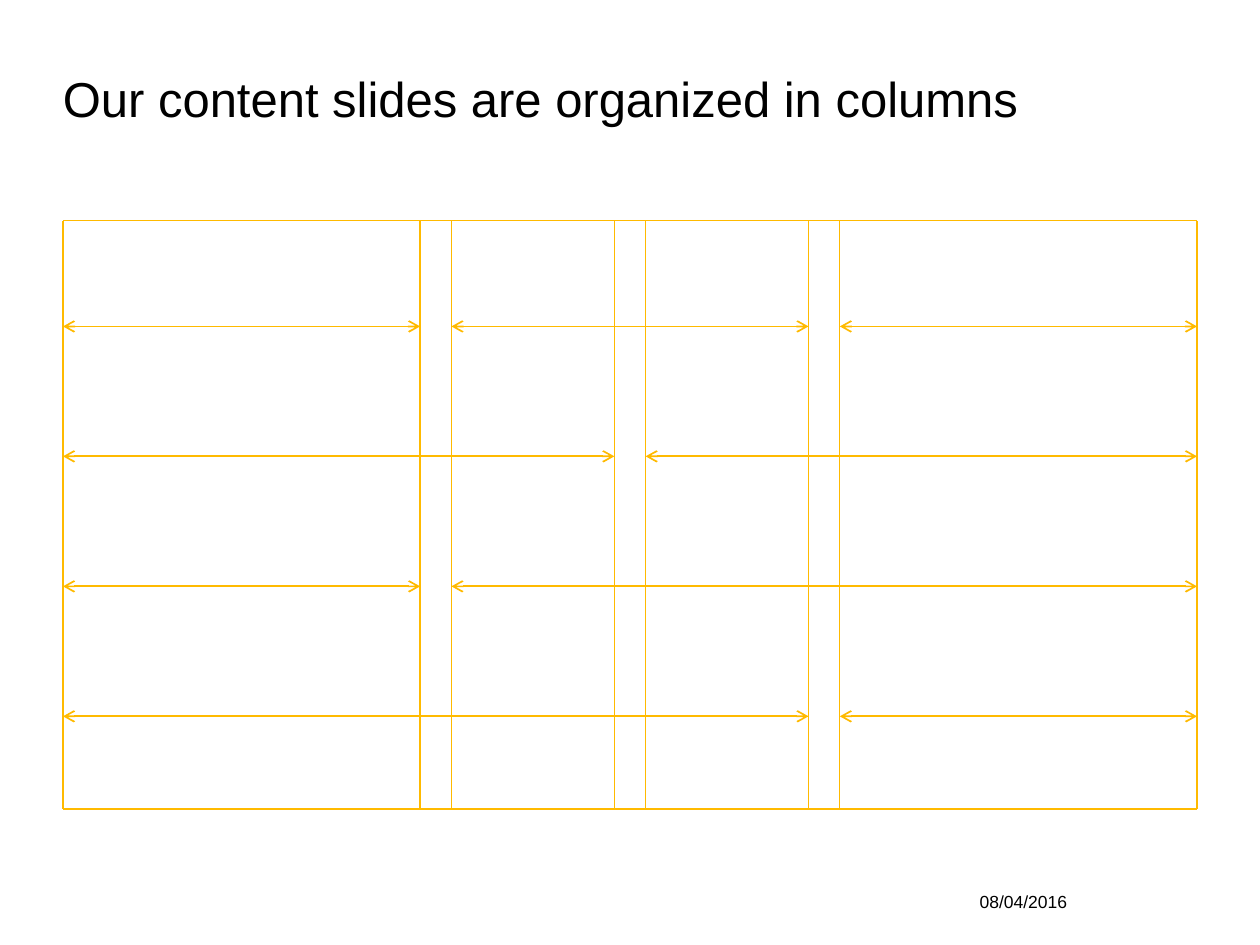
import pptx
import pptx.dml.color
import pptx.enum.shapes
import pptx.enum.text
import pptx.oxml.ns
import pptx.util
from lxml import etree

Cm, Pt = pptx.util.Cm, pptx.util.Pt
ALIGN, ANCHOR = pptx.enum.text.PP_ALIGN, pptx.enum.text.MSO_ANCHOR
COLORS = {"text": "000000", "grid": "FFBA00"}
GUTTER = 0.63
FIRST_ROW, ROW_STEP = 2.13, 2.62


def rgb(name):
    return pptx.dml.color.RGBColor.from_string(COLORS[name])


def add_text(slide, text, box, size, align=ALIGN.LEFT, anchor=ANCHOR.TOP,
             side_inset=0, wrap=True, spacing=1.0):
    tf = slide.shapes.add_textbox(*(Cm(v) for v in box)).text_frame
    tf.margin_left = tf.margin_right = Cm(side_inset)
    tf.margin_top = tf.margin_bottom = 0
    tf.word_wrap = wrap
    tf.vertical_anchor = anchor
    p = tf.paragraphs[0]
    p.alignment = align
    p.line_spacing = spacing
    r = p.add_run()
    r.text = text
    r.font.name = "Arial"
    r.font.size = Pt(size)
    r.font.color.rgb = rgb("text")


def add_line(slide, x1, y1, x2, y2, width=0.75, arrows=False):
    line = slide.shapes.add_connector(
        pptx.enum.shapes.MSO_CONNECTOR.STRAIGHT, Cm(x1), Cm(y1), Cm(x2), Cm(y2))
    line.line.color.rgb = rgb("grid")
    line.line.width = Pt(width)
    qn = pptx.oxml.ns.qn
    if arrows:
        ln = line.line._get_or_add_ln()
        for end in ("a:headEnd", "a:tailEnd"):
            etree.SubElement(ln, qn(end), type="arrow")
    etree.SubElement(line._element.spPr, qn("a:effectLst"))


def columns(left, width, count):
    """Return the (start, end) of equal columns separated by gutters."""
    col = (width - GUTTER * (count - 1)) / count
    starts = [left + i * (col + GUTTER) for i in range(count)]
    return [(start, start + col) for start in starts]


def add_column_grid(slide, left, top, width, height):
    right, bottom = left + width, top + height
    halves, thirds = columns(left, width, 2), columns(left, width, 3)

    for y in (top, bottom):
        add_line(slide, left, y, right, y)
    inner_edges = [halves[0][1], halves[1][0], thirds[0][1],
                   thirds[1][0], thirds[1][1], thirds[2][0]]
    for x in [left, right] + inner_edges:
        add_line(slide, x, top, x, bottom)

    rows = [
        thirds,
        halves,
        [thirds[0], (thirds[1][0], right)],
        [(left, thirds[1][1]), thirds[2]],
    ]
    for i, spans in enumerate(rows):
        y = top + FIRST_ROW + i * ROW_STEP
        for start, end in spans:
            add_line(slide, start, y, end, y, width=1, arrows=True)


def main():
    prs = pptx.Presentation()
    prs.slide_width, prs.slide_height = Cm(25.4), Cm(19.05)
    slide = prs.slides.add_slide(prs.slide_layouts[6])
    add_text(slide, "Our content slides are organized in columns",
             (1.27, 1.27, 22.86, 2.54), 28, spacing=1.1)
    add_column_grid(slide, 1.27, 4.45, 22.86, 11.86)
    add_text(slide, "08/04/2016", (17.98, 17.96, 3.78, 0.43), 10,
             align=ALIGN.RIGHT, anchor=ANCHOR.MIDDLE, side_inset=0.25, wrap=False)
    prs.save("out.pptx")


if __name__ == "__main__":
    main()
